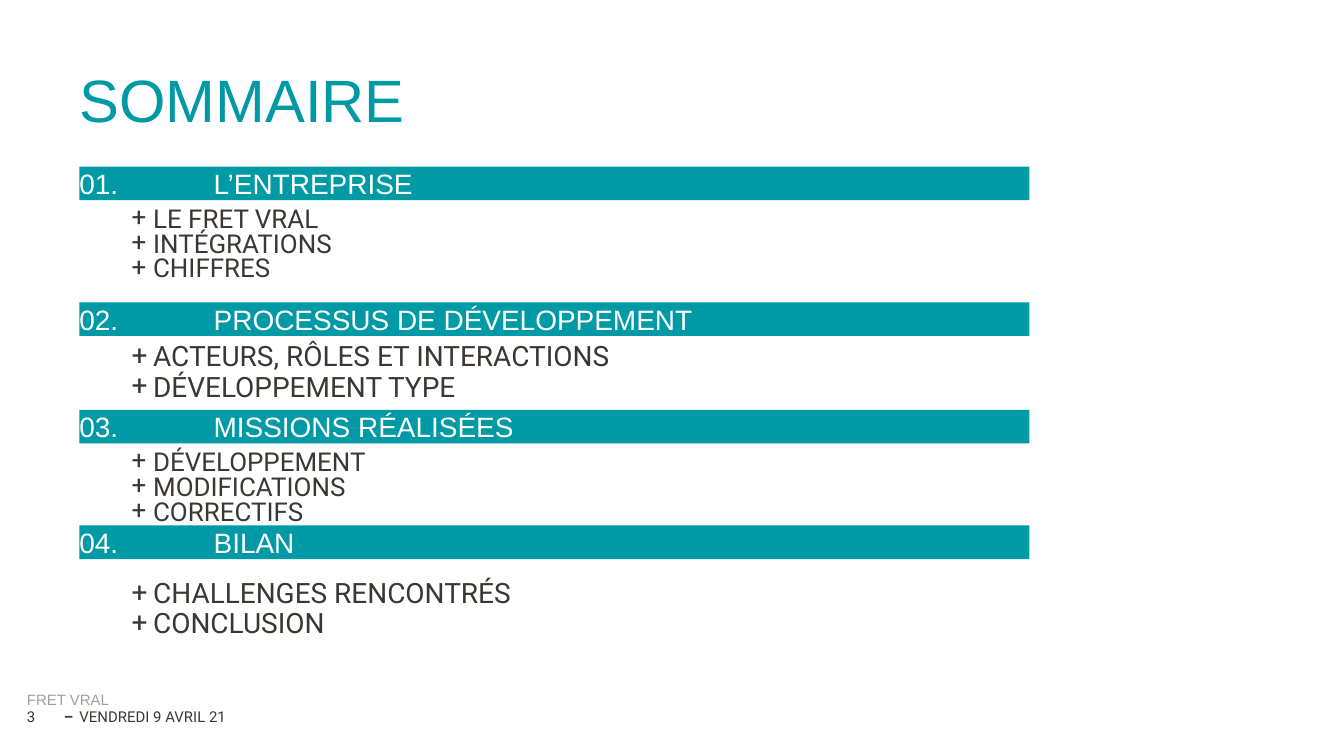
import pptx
import pptx.util
import pptx.dml.color
import pptx.enum.shapes
import pptx.enum.text
import lxml.etree
from pptx.util import Inches, Pt

RGBColor = pptx.dml.color.RGBColor
Align = pptx.enum.text.PP_ALIGN
Anchor = pptx.enum.text.MSO_ANCHOR

TEAL = RGBColor(0x00, 0x9A, 0xA6)
DARK = RGBColor(0x3C, 0x37, 0x32)
GREY = RGBColor(0xA0, 0xA0, 0xA0)
WHITE = RGBColor(0xFF, 0xFF, 0xFF)

LEFT = 0.59
INDENT = 0.16
FOOT = 5.25

# title, bar top, list top, list height, size, line spacing, items
PARTS = [
    ("L’ENTREPRISE", 1.24, 1.55, 0.58, 13.9, 0.8,
     ["LE FRET VRAL", "INTÉGRATIONS", "CHIFFRES"]),
    ("PROCESSUS DE DÉVELOPPEMENT", 2.25, 2.55, 0.51, 15, 0.9,
     ["ACTEURS, RÔLES ET INTERACTIONS", "DÉVELOPPEMENT TYPE"]),
    ("MISSIONS RÉALISÉES", 3.05, 3.36, 0.63, 13.9, 0.8,
     ["DÉVELOPPEMENT", "MODIFICATIONS", "CORRECTIFS"]),
    ("BILAN", 3.91, 4.31, 0.51, 15, 0.9,
     ["CHALLENGES RENCONTRÉS", "CONCLUSION"]),
]


def write(frame, lines, font="Arial", size=15, color=DARK, bold=False,
          align=Align.LEFT, anchor=Anchor.TOP, space=1.0, bullet=None):
    """Fill a text frame with one paragraph per line."""
    frame.word_wrap = True
    frame.vertical_anchor = anchor
    frame.margin_left = frame.margin_right = 0
    frame.margin_top = frame.margin_bottom = 0
    for i, line in enumerate(lines):
        para = frame.paragraphs[0] if i == 0 else frame.add_paragraph()
        para.alignment = align
        para.line_spacing = space
        run = para.add_run()
        run.text = line
        run.font.name = font
        run.font.size = Pt(size)
        run.font.bold = bold
        run.font.color.rgb = color
        props = para._p.get_or_add_pPr()
        props.set("defTabSz", str(Inches(1)))
        if bullet:
            props.set("marL", str(Inches(INDENT)))
            props.set("indent", str(-Inches(INDENT)))
            for tag, key, value in (("a:buFont", "typeface", font),
                                    ("a:buChar", "char", bullet)):
                mark = lxml.etree.SubElement(props, pptx.oxml.ns.qn(tag))
                mark.set(key, value)


class Deck:
    def __init__(self):
        self.file = pptx.Presentation()
        self.file.slide_width = Inches(10)
        self.file.slide_height = Inches(10) * 9 // 16
        self.slide = self.file.slides.add_slide(self.file.slide_layouts[6])

    def text(self, lines, x, y, w, h, **style):
        box = self.slide.shapes.add_textbox(
            Inches(x), Inches(y), Inches(w), Inches(h))
        write(box.text_frame, lines, **style)

    def bar(self, line, y):
        rect = self.slide.shapes.add_shape(
            pptx.enum.shapes.MSO_SHAPE.RECTANGLE,
            Inches(LEFT), Inches(y), Inches(7.07), Inches(0.25))
        rect.shadow.inherit = False
        rect.fill.solid()
        rect.fill.fore_color.rgb = TEAL
        rect.line.fill.background()
        write(rect.text_frame, [line], color=WHITE)


def main():
    deck = Deck()
    foot = dict(font="Roboto", size=8, space=1.14)
    deck.text(["–"], 0.43, FOOT, 0.16, 0.18,
              bold=True, align=Align.CENTER, **foot)
    deck.text(["SOMMAIRE"], LEFT, 0.53, 8.82, 0.51,
              size=32, color=TEAL, space=0.9)
    for num, (title, top, low, high, size, space, items) in enumerate(PARTS, 1):
        deck.bar(f"{num:02}.\t{title}", top)
        deck.text(items, 0.98, low, 8.43, high, font="Roboto",
                  size=size, space=space, bullet="+")

    deck.text(["VENDREDI 9 AVRIL 21"], LEFT, FOOT, 8.39, 0.18, **foot)
    deck.text(["3"], 0.2, FOOT, 0.39, 0.18, **foot)
    deck.text(["FRET VRAL"], 0.2, 5.09, 8.78, 0.18, size=8, color=GREY,
              anchor=Anchor.BOTTOM, space=0.9)
    deck.file.save("out.pptx")


if __name__ == "__main__":
    main()
